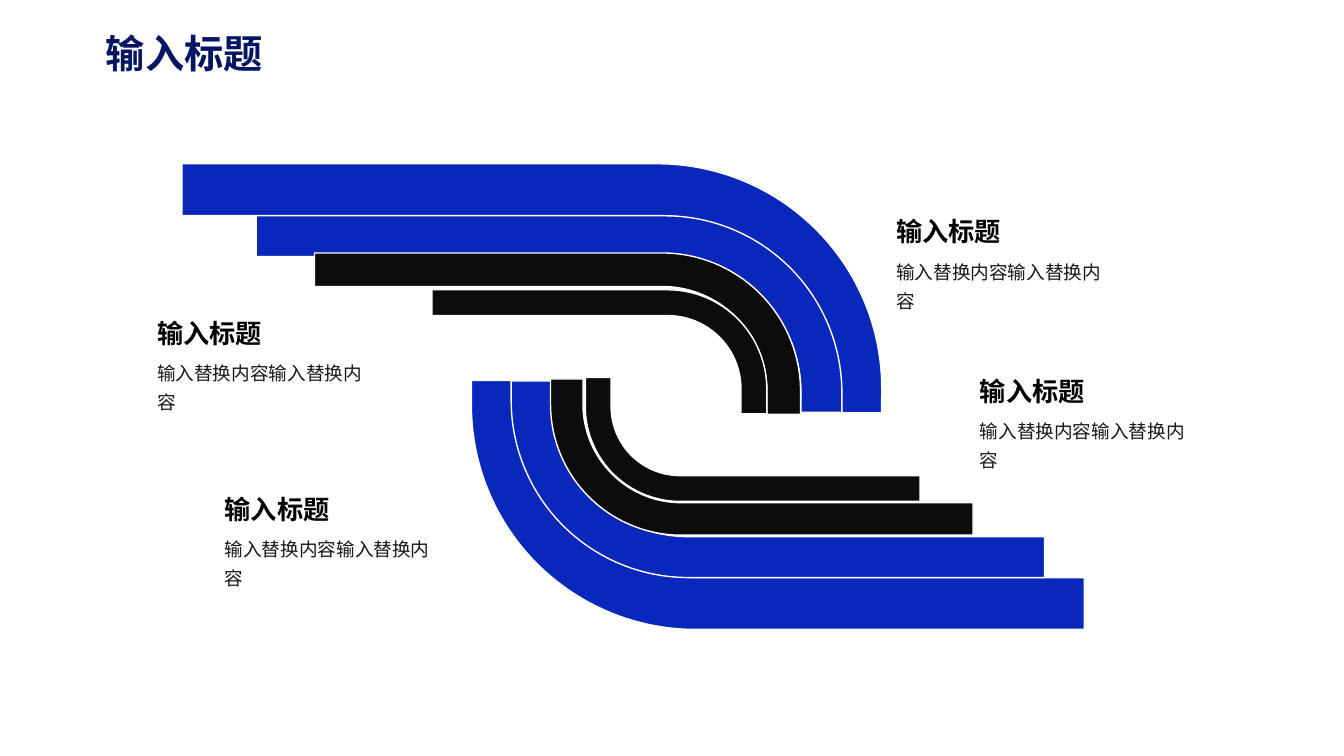
"""Build a slide of two interlocking sets of bent bands with four captions."""
from lxml import etree
from pptx import Presentation
from pptx.dml.color import RGBColor
from pptx.enum import shapes, text
from pptx.oxml import ns
from pptx.util import Inches, Pt

COLORS = {"blue": "0928BB", "black": "0C0C0C", "white": "FFFFFF",
          "navy": "051564", "heading": "000000", "body": "181717"}
FONT = "Noto Sans CJK SC"


def write_text(box, wording, *, size, color, bold=False, align=None, spacing=None):
    frame = box.text_frame
    frame.word_wrap = True
    frame.auto_size = text.MSO_AUTO_SIZE.SHAPE_TO_FIT_TEXT
    frame.vertical_anchor = text.MSO_ANCHOR.TOP
    para = frame.paragraphs[0]
    para.alignment = align
    para.line_spacing = spacing
    span = para.add_run()
    span.text = wording
    span.font.size = Pt(size)
    span.font.bold = bold
    span.font.color.rgb = RGBColor.from_string(COLORS[color])
    span.font.name = FONT
    east_asian = etree.SubElement(span.font._element, ns.qn("a:ea"))
    east_asian.set("typeface", FONT)


deck = Presentation()
deck.slide_width, deck.slide_height = Inches(13.33), Inches(7.5)
page = deck.slides.add_slide(deck.slide_layouts[5])

bands = [
    (4.04, -0.61, 2.47, 6.94, 270, "blue", 0.901),
    (4.47, 0.21, 1.95, 5.81, 270, "blue", 0.901),
    (4.73, 0.9, 1.6, 4.82, 270, "black", 0.859),
    (5.33, 1.83, 1.23, 3.32, 270, "black", 0.8),
    (6.48, 1.97, 2.47, 6.08, 90, "blue", 0.901),
    (6.74, 2.11, 1.95, 5.29, 90, "blue", 0.901),
    (6.78, 2.44, 1.55, 4.19, 90, "black", 0.838),
    (6.85, 2.7, 1.23, 3.32, 90, "black", 0.764),
]
for left, top, width, height, rotation, color, bend in bands:
    band = page.shapes.add_shape(shapes.MSO_SHAPE.BENT_ARROW, Inches(left),
                                 Inches(top), Inches(width), Inches(height))
    for index, value in enumerate((0.209, 0.104, 0, bend)):
        band.adjustments[index] = value
    band.rotation = rotation
    for flip in ("flipH", "flipV"):
        band._element.spPr.xfrm.set(flip, "1")
    band.shadow.inherit = False
    band.fill.solid()
    band.fill.fore_color.rgb = RGBColor.from_string(COLORS[color])
    band.line.color.rgb = RGBColor.from_string(COLORS["white"])
    band.line.width = Pt(1)

for left, top in [(1.46, 3.1), (2.13, 4.84), (8.79, 2.09), (9.62, 3.67)]:
    body = page.shapes.add_textbox(Inches(left), Inches(top + 0.38),
                                   Inches(2.24), Inches(0.66))
    write_text(body, "输入替换内容输入替换内容", size=13.3, color="body", spacing=1.3)
    heading = page.shapes.add_textbox(Inches(left), Inches(top),
                                      Inches(2.24), Inches(0.42))
    write_text(heading, "输入标题", size=18.7, color="heading", bold=True,
               align=text.PP_ALIGN.JUSTIFY)

title = page.shapes.title
title.left, title.top = Inches(0.95), Inches(0.24)
title.width, title.height = Inches(2.24), Inches(0.57)
write_text(title, "输入标题", size=28, color="navy", bold=True,
           align=text.PP_ALIGN.JUSTIFY)

deck.save("out.pptx")
